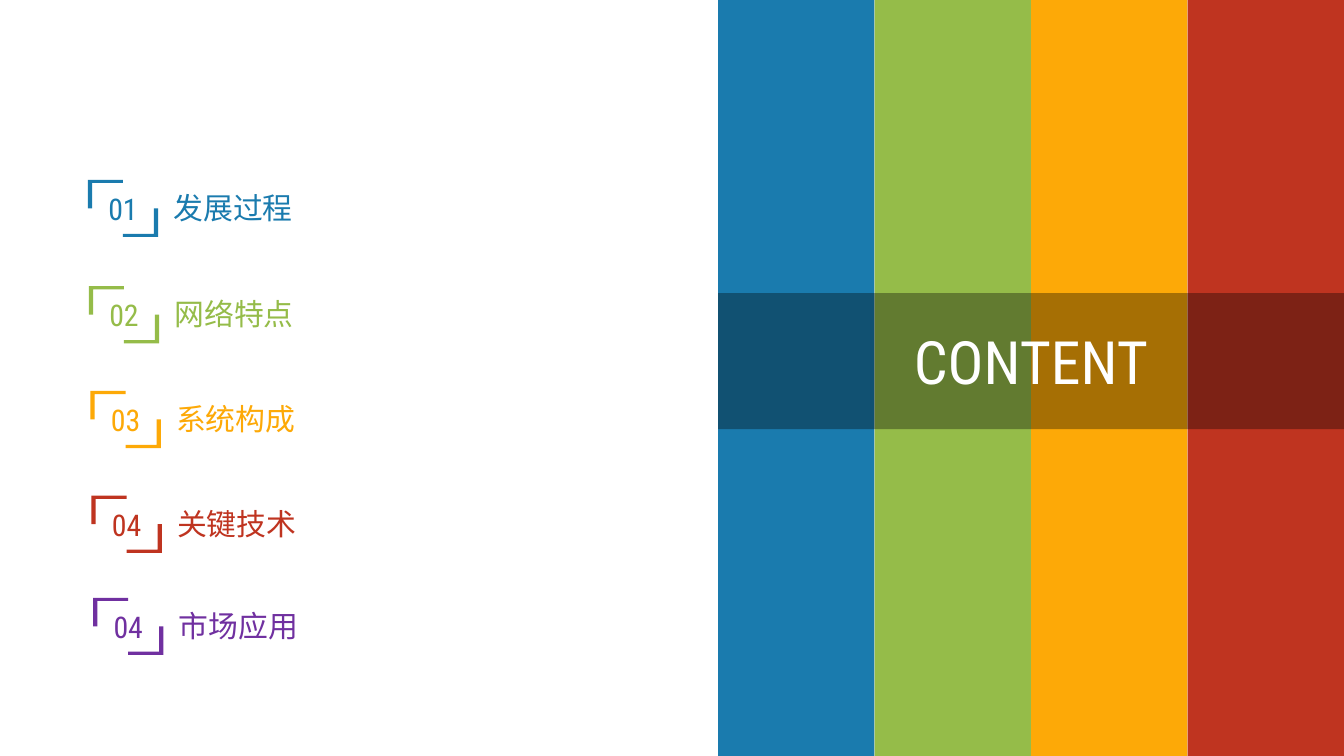
from pptx import Presentation
from pptx.dml.color import RGBColor as Rgb
from pptx.enum.shapes import MSO_SHAPE as Kind
from pptx.enum.text import MSO_ANCHOR as Anchor, MSO_AUTO_SIZE as Fit, PP_ALIGN as Align
from pptx.oxml.ns import qn
from pptx.oxml.xmlchemy import OxmlElement as Node
from pptx.util import Cm, Pt

WIDE, HIGH = 25.4, 14.29
HUES = ["1A7BAE", "95BC49", "FDA907", "BF3420", "7030A0"]
ITEMS = [
    ("01", "发展过程", 1.66, 3.4),
    ("02", "网络特点", 1.68, 5.41),
    ("03", "系统构成", 1.71, 7.39),
    ("04", "关键技术", 1.73, 9.37),
    ("04", "市场应用", 1.76, 11.3),
]


def paint(shape, hue, alpha=None):
    shape.fill.solid()
    shape.fill.fore_color.rgb = Rgb.from_string(hue)
    shape.line.fill.background()
    if alpha is not None:
        node = Node("a:alpha")
        node.set("val", str(alpha * 1000))
        shape.fill._xPr.find(".//" + qn("a:srgbClr")).append(node)


def write(shape, text, hue, size=16, font="Roboto Condensed",
          align=Align.CENTER, anchor=Anchor.MIDDLE):
    frame = shape.text_frame
    frame.word_wrap = True
    frame.auto_size = Fit.NONE
    frame.vertical_anchor = anchor
    para = frame.paragraphs[0]
    para.alignment = align
    run = para.add_run()
    run.text = text
    run.font.name = font
    run.font.size = Pt(size)
    run.font.color.rgb = Rgb.from_string(hue)


def frame_mark(slide, x, y, w, h, hue):
    side, edge = 0.08, 0.06
    upper = [(0, 0), (w / 2, 0), (w / 2, edge), (side, edge), (side, h / 2), (0, h / 2)]
    lower = [(w - a, h - b) for a, b in upper]
    first, other = [[(Cm(x + a), Cm(y + b)) for a, b in pts] for pts in (upper, lower)]
    pen = slide.shapes.build_freeform(*first[0], scale=1.0)
    pen.add_line_segments(first[1:], close=True)
    pen.move_to(*other[0])
    pen.add_line_segments(other[1:], close=True)
    mark = pen.convert_to_shape()
    mark.shadow.inherit = False
    paint(mark, hue)
    return mark


def add_item(slide, x, y, num, label, hue):
    box = slide.shapes.add_textbox(Cm(x + 1.37), Cm(y + 0.06), Cm(10.11), Cm(0.94))
    write(box, label, hue, font="Arial", align=Align.LEFT, anchor=Anchor.TOP)
    write(frame_mark(slide, x, y, 1.33, 1.08, hue), num, hue)


def add_panel(slide, x, y, w, h, hues):
    step = w / len(hues)
    for i, hue in enumerate(hues):
        bar = slide.shapes.add_shape(Kind.RECTANGLE, Cm(x + i * step), Cm(y), Cm(step), Cm(h))
        bar.shadow.inherit = False
        paint(bar, hue)
    title = slide.shapes.title
    title.left, title.top, title.width, title.height = Cm(x), Cm(y + 5.54), Cm(w), Cm(2.57)
    paint(title, "000000", alpha=34)
    write(title, "CONTENT", "FFFFFF", size=32)
    slide.shapes._spTree.append(title._element)


def main():
    deck = Presentation()
    deck.slide_width, deck.slide_height = Cm(WIDE), Cm(HIGH)
    slide = deck.slides.add_slide(deck.slide_layouts[5])
    for (num, label, x, y), hue in zip(ITEMS, HUES):
        add_item(slide, x, y, num, label, hue)
    add_panel(slide, 13.57, 0, WIDE - 13.57, HIGH, HUES[:4])
    deck.save("out.pptx")


if __name__ == "__main__":
    main()
